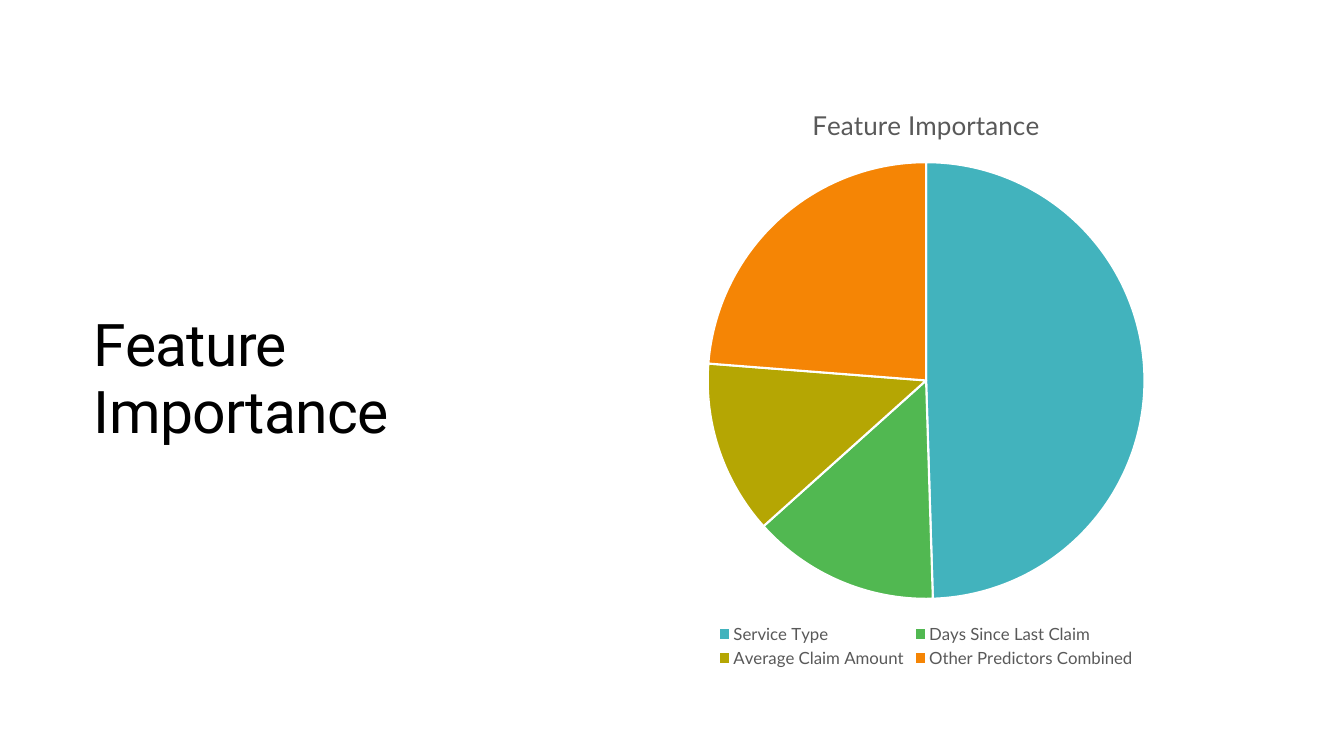
from pptx import Presentation
from pptx import util as u
from pptx.chart import data
from pptx.dml.color import RGBColor
from pptx.enum import chart as charts, text

WHITE = RGBColor(0xFF, 0xFF, 0xFF)
BLACK = RGBColor(0x00, 0x00, 0x00)
GREY = RGBColor(0x59, 0x59, 0x59)
TEAL = RGBColor(0x42, 0xB3, 0xBD)
GREEN = RGBColor(0x51, 0xB8, 0x51)
OLIVE = RGBColor(0xB5, 0xA6, 0x03)
ORANGE = RGBColor(0xF5, 0x85, 0x05)

WIDTH, HEIGHT = u.Inches(13.33), u.Inches(7.5)
COLUMNS, ROWS = 16, 9

FEATURES = [
    ("Service Type", 50, TEAL),
    ("Days Since Last Claim", 14, GREEN),
    ("Average Claim Amount", 13, OLIVE),
    ("Other Predictors Combined", 24, ORANGE),
]


class SlideBuilder:
    """Hold the fonts and the current slide, and add elements on a grid."""

    heading_font = "Roboto"
    chart_font = "Lato"

    def __init__(self, slide):
        self.slide = slide
        fill = slide.background.fill
        fill.solid()
        fill.fore_color.rgb = WHITE

    def place(self, column, row, columns, rows):
        cell_width, cell_height = WIDTH / COLUMNS, HEIGHT / ROWS
        return (round(column * cell_width), round(row * cell_height),
                round(columns * cell_width), round(rows * cell_height))

    def style(self, font, name, size, color):
        font.name = name
        font.size = u.Pt(size)
        font.bold = False
        font.color.rgb = color

    def heading(self, words, *cells):
        shape = self.slide.shapes.add_textbox(*self.place(*cells))
        frame = shape.text_frame
        frame.word_wrap = True
        frame.vertical_anchor = text.MSO_ANCHOR.MIDDLE
        paragraph = frame.paragraphs[0]
        paragraph.line_spacing = 0.95
        run = paragraph.add_run()
        run.text = words
        self.style(run.font, self.heading_font, 42, BLACK)
        run.font._element.set("spc", "-50")

    def pie(self, title, slices, *cells):
        names, values, colors = zip(*slices)
        chart_data = data.CategoryChartData()
        chart_data.categories = names
        chart_data.add_series(title, values)
        chart = self.slide.shapes.add_chart(
            charts.XL_CHART_TYPE.PIE, *self.place(*cells), chart_data).chart
        self.style(chart.font, self.chart_font, 10, BLACK)

        chart.has_title = True
        run = chart.chart_title.text_frame.paragraphs[0].add_run()
        run.text = title
        self.style(run.font, self.chart_font, 18.6, GREY)

        chart.has_legend = True
        chart.legend.position = charts.XL_LEGEND_POSITION.BOTTOM
        chart.legend.include_in_layout = False
        self.style(chart.legend.font, self.chart_font, 12, GREY)

        plot = chart.plots[0]
        plot.vary_by_categories = True
        for index, color in enumerate(colors):
            part = plot.series[0].points[index].format
            part.fill.solid()
            part.fill.fore_color.rgb = color
            part.line.color.rgb = WHITE
            part.line.width = u.Pt(1.5)


def main():
    presentation = Presentation()
    presentation.slide_width, presentation.slide_height = WIDTH, HEIGHT
    builder = SlideBuilder(presentation.slides.add_slide(presentation.slide_layouts[6]))
    builder.heading("Feature Importance", 1, 1.02, 5.12, 7)
    builder.pie("Feature Importance", FEATURES, 7.1, 1, 7.85, 7)
    presentation.save("out.pptx")


if __name__ == "__main__":
    main()
